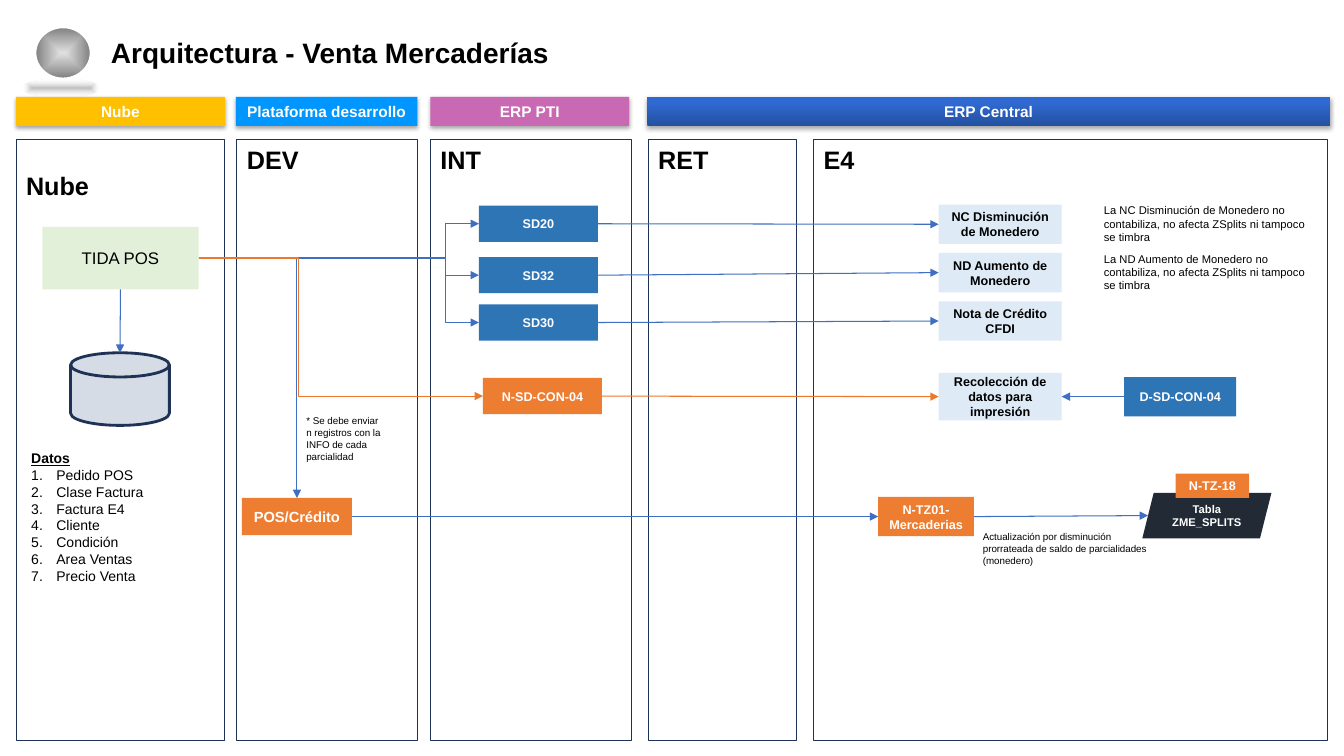
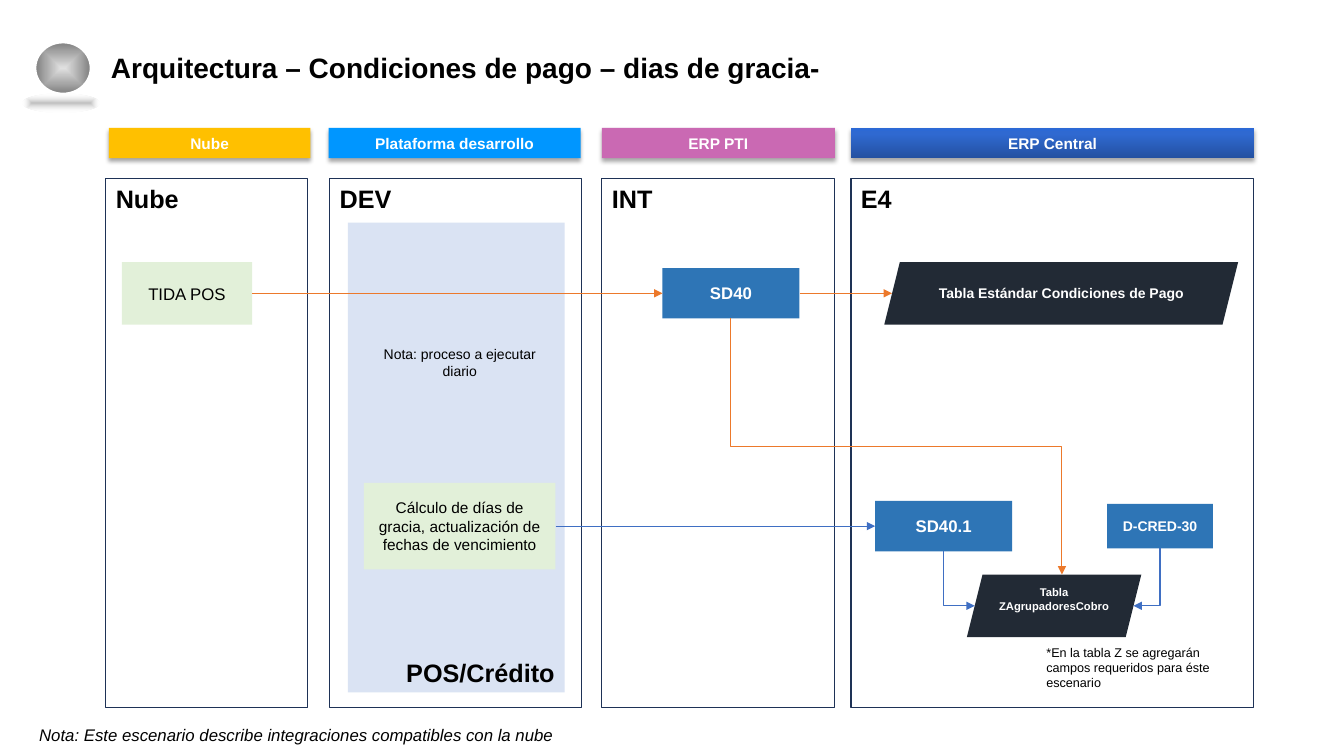
from dataclasses import dataclass

from lxml.etree import SubElement
from pptx import Presentation
from pptx.dml.color import RGBColor
from pptx.enum.shapes import MSO_CONNECTOR, MSO_SHAPE
from pptx.enum.text import MSO_ANCHOR, MSO_AUTO_SIZE, PP_ALIGN
from pptx.oxml import parse_xml
from pptx.oxml.ns import nsdecls, qn
from pptx.util import Inches, Pt


class Theme:
    font = "Arial"
    colors = dict(
        white="FFFFFF", black="000000", frame="1E3256", amber="FFC000", sky="0096FF",
        pink="CA69B3", green="E2F0D9", blue="2E75B6", pale="DEEBF7", orange="ED7D31",
        dark="222A35", disk="D6DCE5", zone="DAE3F3", blue_link="3F6FC3",
        orange_link="EC792B")
    text = dict(
        title=dict(size=Pt(20), bold=True), panel=dict(size=Pt(18), bold=True),
        band=dict(size=Pt(11), bold=True), app=dict(size=Pt(12)),
        app_small=dict(size=Pt(11)), node_big=dict(size=Pt(12), bold=True),
        node_wide=dict(size=Pt(10.5), bold=True), node_mid=dict(size=Pt(10), bold=True),
        node=dict(size=Pt(9), bold=True), table=dict(size=Pt(8), bold=True),
        list=dict(size=Pt(10)), list_head=dict(size=Pt(10), bold=True, underline=True),
        note_big=dict(size=Pt(10)), note_mid=dict(size=Pt(9)),
        note=dict(size=Pt(8)), note_small=dict(size=Pt(7)),
        footer=dict(size=Pt(12), italic=True))
    # (position, colour, opacity) stops and the direction element
    centred = '<a:path path="rect"><a:fillToRect l="50000" t="50000" r="50000" b="50000"/></a:path>'
    gradients = dict(
        royal=([(0, "2451A1", 100), (80, "2F69D1", 100), (100, "2C69D5", 100)],
               '<a:lin ang="16200000" scaled="0"/>'),
        sphere=([(0, "E0E0E0", 100), (100, "808080", 100)], centred),
        halo=([(0, "808080", 50), (100, "FFFFFF", 0)], centred))


@dataclass(frozen=True)
class Box:
    x: float
    y: float
    w: float
    h: float
    slant: float = 0

    def inner(self, dx, dy, w, h, slant=0):
        return Box(self.x + dx, self.y + dy, w, h, slant)

    @property
    def emu(self):
        return [Inches(v) for v in (self.x, self.y, self.w, self.h)]

    @property
    def left(self):
        return self.x + self.slant, self.y + self.h / 2

    @property
    def right(self):
        return self.x + self.w - self.slant, self.y + self.h / 2

    @property
    def top(self):
        return self.x + self.w / 2 + self.slant, self.y

    @property
    def bottom(self):
        return self.x + self.w / 2 - self.slant, self.y + self.h


def rgb(name):
    return RGBColor.from_string(Theme.colors[name])


def write(p, text, style, color="black", align=PP_ALIGN.LEFT):
    r = p.add_run()
    r.text = text
    r.font.color.rgb = rgb(color)
    for key, value in dict(name=Theme.font, **Theme.text[style]).items():
        setattr(r.font, key, value)
    p.alignment = align


def paint(sp, fill):
    """Fill with a theme colour or gradient; None leaves the shape empty."""
    if fill in Theme.colors:
        sp.fill.solid()
        sp.fill.fore_color.rgb = rgb(fill)
        return
    sp.fill.background()
    if fill:
        stops, direction = Theme.gradients[fill]
        gs = "".join(
            f'<a:gs pos="{pos * 1000}"><a:srgbClr val="{color}">'
            f'<a:alpha val="{alpha * 1000}"/></a:srgbClr></a:gs>'
            for pos, color, alpha in stops)
        grad = parse_xml(f'<a:gradFill {nsdecls("a")} rotWithShape="1">'
                         f'<a:gsLst>{gs}</a:gsLst>{direction}</a:gradFill>')
        spPr = sp._element.spPr
        spPr.replace(spPr.find(qn("a:noFill")), grad)


def add_block(s, box, fill=None, line=None, width=0.75, kind=MSO_SHAPE.RECTANGLE):
    sp = s.shapes.add_shape(kind, *box.emu)
    sp.shadow.inherit = False
    paint(sp, fill)
    if line:
        sp.line.color.rgb = rgb(line)
        sp.line.width = Pt(width)
    else:
        sp.line.fill.background()
    return sp


def add_node(s, box, text, fill, style="node", color="white"):
    kind = MSO_SHAPE.PARALLELOGRAM if box.slant else MSO_SHAPE.RECTANGLE
    sp = add_block(s, box, fill, kind=kind)
    tf = sp.text_frame
    tf.vertical_anchor = MSO_ANCHOR.MIDDLE
    write(tf.paragraphs[0], text, style, color, PP_ALIGN.CENTER)
    return sp


def add_table_node(s, area, place, text, style="table"):
    """A slanted node whose connection points follow its sloping sides."""
    box = area.inner(*place, slant=place[3] / 8)
    return box, add_node(s, box, text, "dark", style)


def add_note(s, box, text, style="note", align=PP_ALIGN.LEFT):
    tf = s.shapes.add_textbox(*box.emu).text_frame
    tf.word_wrap = True
    write(tf.paragraphs[0], text, style, align=align)


def add_panel(s, box, text, top=0.05):
    tf = add_block(s, box, line="frame").text_frame
    tf.vertical_anchor = MSO_ANCHOR.TOP
    tf.margin_top = Inches(top)
    write(tf.paragraphs[0], text, "panel")


def add_band(s, box, text, fill):
    sp = add_node(s, box, text, fill, "band")
    effects = sp._element.spPr.find(qn("a:effectLst"))
    shadow = SubElement(effects, qn("a:outerShdw"), blurRad=str(Pt(3.1)),
                        dist=str(Pt(1.8)), dir="5400000", rotWithShape="0")
    color = SubElement(shadow, qn("a:srgbClr"), val=Theme.colors["black"])
    SubElement(color, qn("a:alpha"), val="35000")


def add_link(s, start, end, color="blue_link", bend=None, down=False):
    """Arrow; bend is the share of the way before turning (1 = one corner).

    With down the first leg runs downwards instead of sideways.
    """
    (x1, y1), (x2, y2) = start, end
    if down:
        cx, cy, dx, dy = (x1 + x2) / 2, (y1 + y2) / 2, x2 - x1, y2 - y1
        half = dy / 2 if dx > 0 else -dy / 2
        x1, x2, y1, y2 = cx + half, cx - half, cy - abs(dx) / 2, cy + abs(dx) / 2
    kind = MSO_CONNECTOR.ELBOW if bend else MSO_CONNECTOR.STRAIGHT
    cxn = s.shapes.add_connector(kind, *[Inches(v) for v in (x1, y1, x2, y2)])
    cxn.line.color.rgb = rgb(color)
    cxn.line.width = Pt(0.75)
    spPr = cxn._element.spPr
    SubElement(spPr.find(qn("a:ln")), qn("a:tailEnd"), type="triangle")
    SubElement(spPr, qn("a:effectLst"))
    if down:
        spPr.find(qn("a:xfrm")).set("rot", "16200000" if dx > 0 else "5400000")
    geom = spPr.find(qn("a:prstGeom"))
    if bend == 1:
        geom.set("prst", "bentConnector2")
    elif bend:
        SubElement(geom.find(qn("a:avLst")), qn("a:gd"), name="adj1",
                   fmla=f"val {round(bend * 100000)}")


def place_holder(sp, box, anchor):
    sp.left, sp.top, sp.width, sp.height = box.emu
    tf = sp.text_frame
    tf.auto_size = MSO_AUTO_SIZE.NONE
    tf.word_wrap = True
    tf.vertical_anchor = anchor
    return tf


def add_header(s, box, text):
    """Sphere emblem with its soft shadow, and the title beside it."""
    add_block(s, box.inner(0.13, 0, 0.55, 0.51), "sphere", "white", 1.5, MSO_SHAPE.OVAL)
    add_block(s, box.inner(0, 0.51, 0.77, 0.19), "halo", kind=MSO_SHAPE.OVAL)
    tf = place_holder(s.shapes.title, box.inner(0.78, 0.07, 9.63, 0.4), MSO_ANCHOR.MIDDLE)
    write(tf.paragraphs[0], text, "title")
    tf.paragraphs[0].line_spacing = 0.9


def add_bands(s, y, h, spans):
    names = (("Nube", "amber"), ("Plataforma desarrollo", "sky"),
             ("ERP PTI", "pink"), ("ERP Central", "royal"))
    for (x, w), (text, fill) in zip(spans, names):
        add_band(s, Box(x, y, w, h), text, fill)


def add_data_list(sp, box, head, items):
    tf = place_holder(sp, box, MSO_ANCHOR.TOP)
    for i, text in enumerate([head, *items]):
        p = tf.add_paragraph() if i else tf.paragraphs[0]
        p.space_before = Pt(0)
        pPr = p._p.get_or_add_pPr()
        indent = Inches(0.25) if i else 0
        pPr.set("marL", str(indent))
        pPr.set("indent", str(-indent))
        if i:
            SubElement(pPr, qn("a:buFont"), typeface="+mj-lt")
            SubElement(pPr, qn("a:buAutoNum"), type="arabicPeriod")
        else:
            SubElement(pPr, qn("a:buNone"))
        write(p, text, "list" if i else "list_head")


def sales_cloud(s, area):
    add_panel(s, area, "Nube", top=0.31)
    pos, disk = area.inner(0.26, 0.87, 1.55, 0.62), area.inner(0.54, 2.12, 0.98, 0.72)
    add_node(s, pos, "TIDA POS", "green", "app", "black")
    add_block(s, disk, "disk", "frame", 2, MSO_SHAPE.FLOWCHART_MAGNETIC_DISK)
    add_data_list(s.placeholders[1], area.inner(0.05, 3.03, 1.75, 1.45), "Datos", [
        "Pedido POS", "Clase Factura", "Factura E4", "Cliente", "Condición",
        "Area Ventas", "Precio Venta"])
    add_link(s, pos.bottom, disk.top)
    return pos


def sales_studio(s, area):
    add_panel(s, area, "DEV")
    credit = area.inner(0.05, 3.56, 1.09, 0.37)
    add_node(s, credit, "POS/Crédito", "orange", "node_wide")
    add_note(s, area.inner(0.59, 2.69, 0.97, 0.57),
             "* Se debe enviar n registros con la INFO de cada parcialidad", "note_small")
    return credit


def sales_integration(s, area):
    add_panel(s, area, "INT")
    flows = [area.inner(0.48, dy, 1.18, 0.36) for dy in (0.66, 1.17, 1.64)]
    for box, text in zip(flows, ("SD20", "SD32", "SD30")):
        add_node(s, box, text, "blue")
    collect = area.inner(0.52, 2.37, 1.18, 0.36)
    add_node(s, collect, "N-SD-CON-04", "orange")
    return flows, collect


def sales_core(s, area):
    add_panel(s, area, "E4")
    docs = [area.inner(1.24, 0.65 + 0.48 * i, 1.22, 0.39) for i in range(3)]
    names = ("NC Disminución de Monedero", "ND Aumento de Monedero")
    for box, text in zip(docs, (*names, "Nota de Crédito CFDI")):
        add_node(s, box, text, "pale", color="black")
    for i, text in enumerate(names):
        add_note(s, area.inner(2.78, 0.59 + 0.48 * i, 2.24, 0.5),
                 f"La {text} no contabiliza, no afecta ZSplits ni tampoco se timbra")
    gather, data = area.inner(1.24, 2.32, 1.22, 0.47), area.inner(3.08, 2.36, 1.11, 0.39)
    add_node(s, gather, "Recolección de datos para impresión", "pale", color="black")
    add_node(s, data, "D-SD-CON-04", "blue")
    goods = area.inner(0.64, 3.55, 0.95, 0.39)
    add_node(s, goods, "N-TZ01-Mercaderias", "orange")
    splits, _ = add_table_node(s, area, (3.26, 3.51, 1.28, 0.45), "Tabla ZME_SPLITS")
    add_node(s, area.inner(3.59, 3.32, 0.73, 0.24), "N-TZ-18", "orange")
    add_note(s, area.inner(1.58, 3.84, 1.83, 0.47),
             "Actualización por disminución prorrateada de saldo de parcialidades (monedero)",
             "note_small")
    add_link(s, data.left, gather.right)
    add_link(s, goods.right, splits.left)
    return docs, gather, goods


def sales_slide(prs):
    s = prs.slides.add_slide(prs.slide_layouts[1])
    add_header(s, Box(0.22, 0.27, 10.41, 0.7), "Arquitectura - Venta Mercaderías")
    add_bands(s, 0.96, 0.29, ((0.16, 2.07), (2.34, 1.8), (4.27, 1.97), (6.42, 6.77)))
    cloud, studio, integration, retail, core = [
        Box(x, 1.38, w, 5.97) for x, w in
        ((0.16, 2.07), (2.35, 1.79), (4.27, 1.99), (6.43, 1.47), (8.07, 5.1))]
    pos, credit = sales_cloud(s, cloud), sales_studio(s, studio)
    flows, collect = sales_integration(s, integration)
    add_panel(s, retail, "RET")
    docs, gather, goods = sales_core(s, core)
    add_link(s, pos.right, credit.top, bend=1)
    for flow, doc in zip(flows, docs):
        add_link(s, pos.right, flow.left, bend=0.88)
        add_link(s, flow.right, doc.left)
    add_link(s, pos.right, collect.left, "orange_link", bend=0.35)
    add_link(s, collect.right, gather.left, "orange_link")
    add_link(s, credit.right, goods.left)


def terms_studio(s, area):
    tf = add_block(s, area.inner(0.18, 0.44, 2.15, 4.66), "zone").text_frame
    tf.vertical_anchor = MSO_ANCHOR.BOTTOM
    write(tf.paragraphs[0], "POS/Crédito", "panel", align=PP_ALIGN.RIGHT)
    add_panel(s, area, "DEV")
    add_note(s, area.inner(0.34, 1.61, 1.9, 0.44), "Nota: proceso a ejecutar diario",
             "note_big", PP_ALIGN.CENTER)
    grace = area.inner(0.34, 3.02, 1.9, 0.86)
    add_node(s, grace, "Cálculo de días de gracia, actualización de fechas de vencimiento",
             "green", "app_small", "black")
    return grace


def terms_core(s, area):
    add_panel(s, area, "E4")
    terms, _ = add_table_node(s, area, (0.33, 0.83, 3.51, 0.62),
                              "Tabla Estándar Condiciones de Pago", "node_mid")
    update, credit = area.inner(0.24, 3.2, 1.36, 0.5), area.inner(2.54, 3.23, 1.05, 0.44)
    add_node(s, update, "SD40.1", "blue", "node_big")
    add_node(s, credit, "D-CRED-30", "blue", "node_mid")
    groups, sp = add_table_node(s, area, (1.15, 3.93, 1.73, 0.62),
                                "Tabla ZAgrupadoresCobro")
    sp.text_frame.margin_bottom = Inches(0.18)
    add_note(s, area.inner(1.84, 4.58, 2, 0.56),
             "*En la tabla Z se agregarán campos requeridos para éste escenario", "note_mid")
    add_link(s, update.bottom, groups.left, bend=1, down=True)
    add_link(s, credit.bottom, groups.right, bend=1, down=True)
    return terms, update, groups


def terms_slide(prs):
    s = prs.slides.add_slide(prs.slide_layouts[5])
    add_header(s, Box(0.22, 0.42, 10.41, 0.7),
               "Arquitectura – Condiciones de pago – dias de gracia-")
    add_bands(s, 1.27, 0.3, ((1.08, 2), (3.26, 2.5), (5.97, 2.31), (8.44, 4)))
    cloud, studio, integration, core = [
        Box(x, 1.77, w, 5.25) for x, w in
        ((1.05, 2), (3.27, 2.5), (5.97, 2.31), (8.44, 3.99))]
    add_panel(s, cloud, "Nube")
    pos = cloud.inner(0.16, 0.83, 1.29, 0.62)
    add_node(s, pos, "TIDA POS", "green", "app", "black")
    grace = terms_studio(s, studio)
    add_panel(s, integration, "INT")
    flow = integration.inner(0.6, 0.89, 1.36, 0.5)
    add_node(s, flow, "SD40", "blue", "node_big")
    terms, update, groups = terms_core(s, core)
    add_link(s, pos.right, flow.left, "orange_link")
    add_link(s, flow.right, terms.left, "orange_link")
    add_link(s, flow.bottom, groups.top, "orange_link", bend=0.5, down=True)
    add_link(s, grace.right, update.left)
    add_note(s, Box(0.29, 7.14, 5.47, 0.3),
             "Nota: Este escenario describe integraciones compatibles con la nube", "footer")


def main():
    prs = Presentation()
    prs.slide_width, prs.slide_height = Inches(13.33), Inches(7.5)
    sales_slide(prs)
    terms_slide(prs)
    prs.save("out.pptx")


if __name__ == "__main__":
    main()
